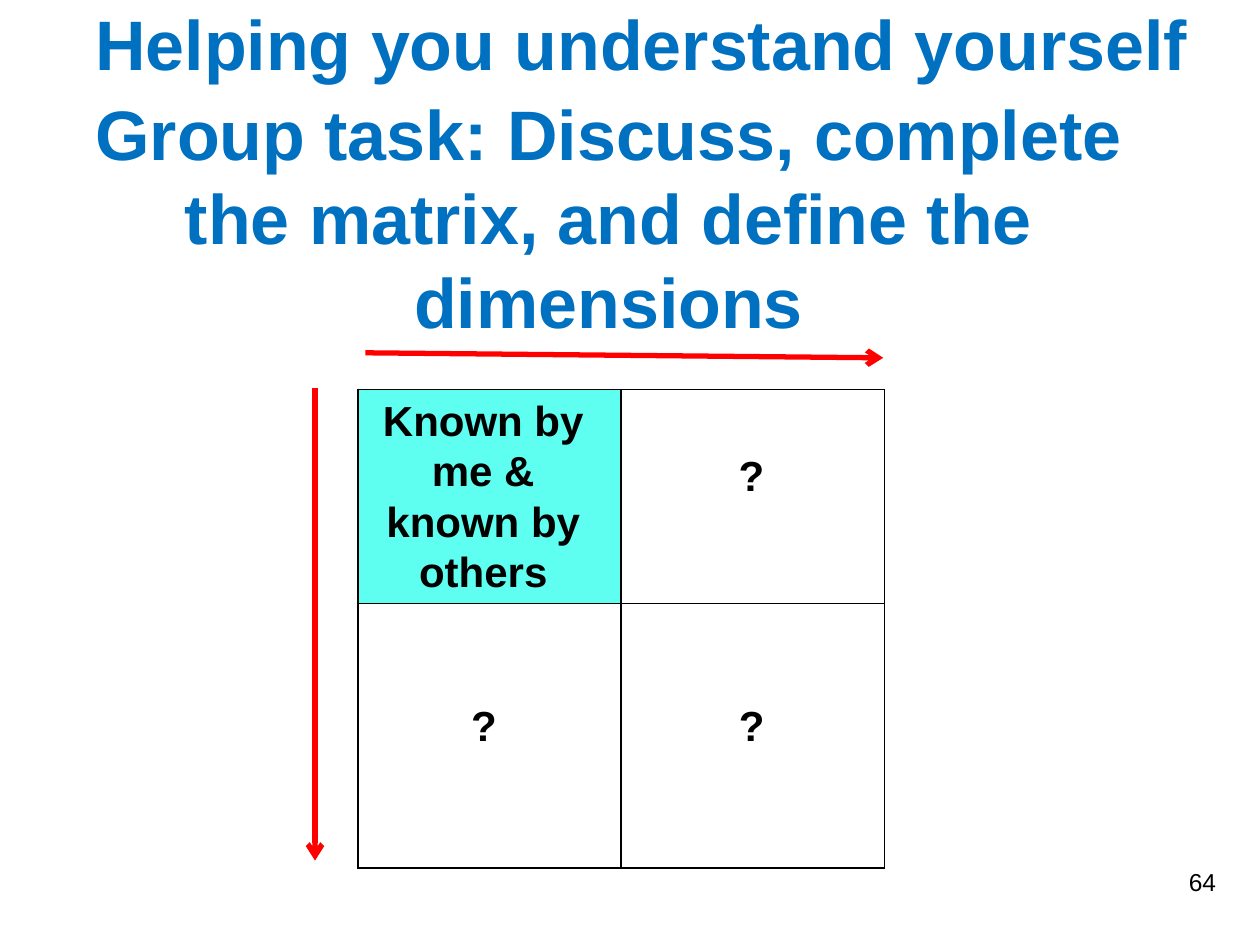
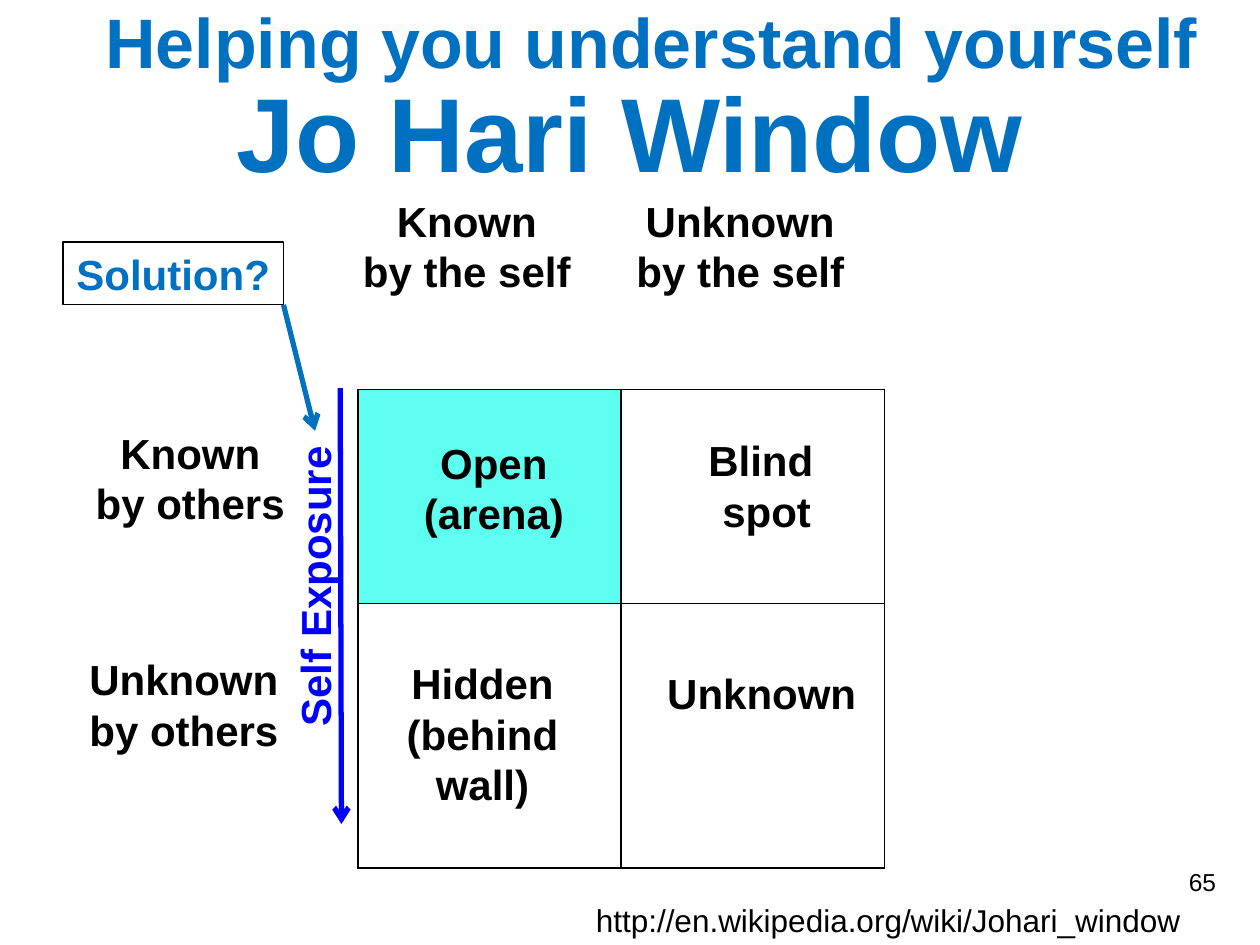
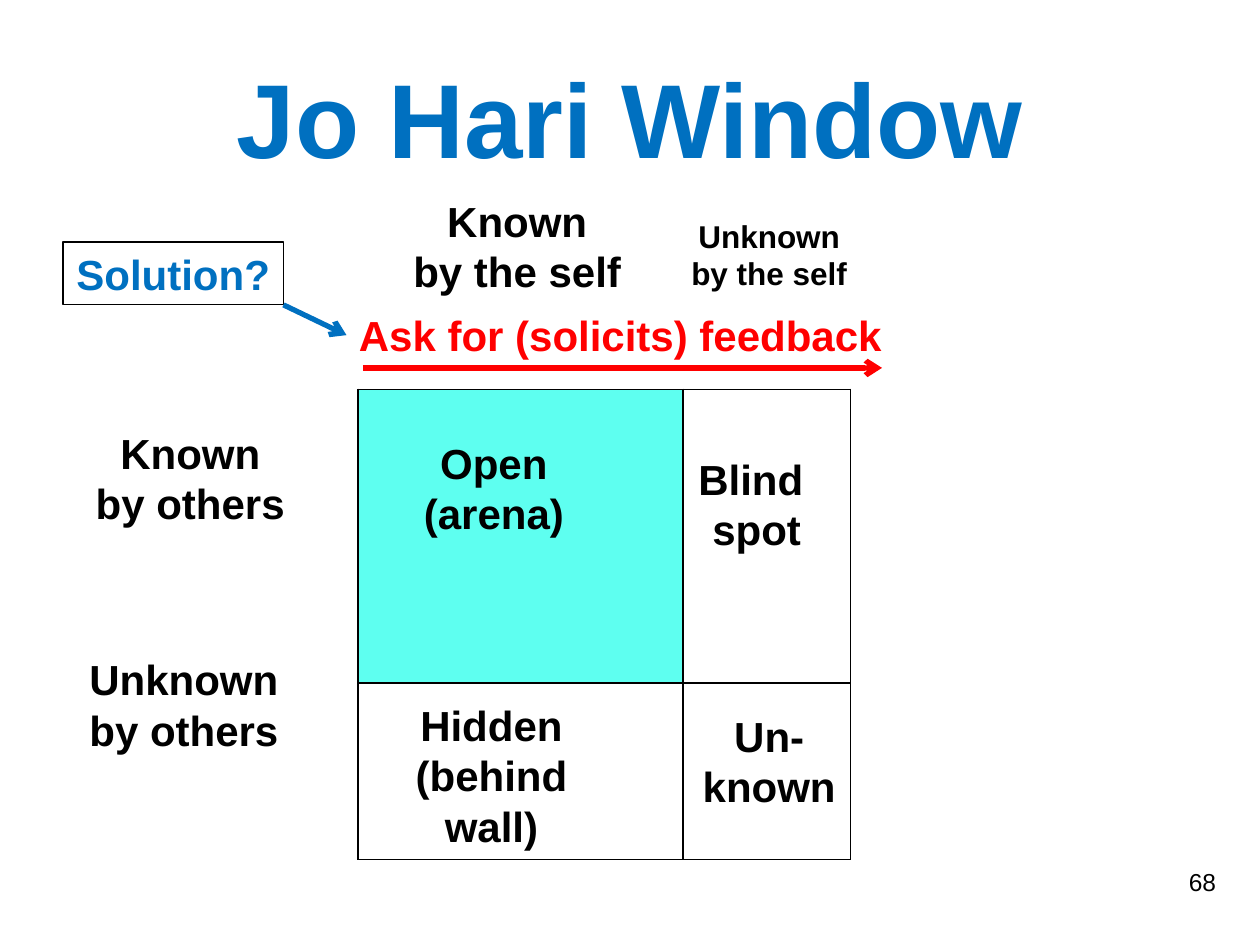
"""Build three slides on the Johari window: the group task, the model and the feedback step."""
from lxml.etree import SubElement
from pptx import Presentation
from pptx.dml.color import RGBColor
from pptx.enum.shapes import MSO_CONNECTOR, MSO_SHAPE
from pptx.enum.text import MSO_ANCHOR as ANCHOR, MSO_AUTO_SIZE, PP_ALIGN as ALIGN
from pptx.oxml.ns import qn
from pptx.util import Inches, Pt

FONT = "Arial"
BLACK, WHITE, BLUE, RED = "000000", "FFFFFF", "0070C0", "FF0000"
EXPOSURE, OPEN_FILL = "0000FF", "5EFFF0"
rgb = RGBColor.from_string


def write(sp, text, size=24, color=BLACK, bold=True, align=ALIGN.CENTER,
          anchor=ANCHOR.TOP, wrap=True):
    """Fill a shape with text, one paragraph per line."""
    tf = sp.text_frame
    tf.text = text
    tf.auto_size = MSO_AUTO_SIZE.NONE
    tf.word_wrap = wrap
    tf.vertical_anchor = anchor
    for p in tf.paragraphs:
        p.alignment = align
        p.font.name, p.font.size, p.font.bold = FONT, Pt(size), bold
        p.font.color.rgb = rgb(color)


def add_arrow(s, x1, y1, x2, y2, color):
    """Draw a line that ends in an open arrowhead."""
    line = s.shapes.add_connector(MSO_CONNECTOR.STRAIGHT, *map(Inches, (x1, y1, x2, y2)))
    line.line.color.rgb = rgb(color)
    line.line.width = Pt(3)
    SubElement(line.line._get_or_add_ln(), qn("a:tailEnd"), type="arrow")
    SubElement(line._element.spPr, qn("a:effectLst"))


prs = Presentation()
prs.slide_width, prs.slide_height = Inches(10), Inches(7.5)

HEADING = "Helping you understand yourself"
MODEL = "Jo Hari Window"
heading_style = {"size": 40, "color": BLUE, "anchor": ANCHOR.MIDDLE}
label = {"wrap": False}
side_labels = [
    ((0.65, 3.34, 1.72, 0.91), "Known\nby others", label),
    ((0.58, 5.14, 1.76, 0.91), "Unknown\nby others", label),
    ((3.17, 3.42, 1.5, 0.91), "Open\n(arena)", {}),
]

slides = [
    {
        "title": (HEADING, (0.59, 0, 9, 0.68), 40),
        "number": "64", "cols": (2.09, 2.09), "rows": (1.7, 2.1),
        "texts": [
            ((2.84, 3.08, 1.99, 1.72), "Known by me & known by others", {}),
            ((5.38, 3.52, 1.17, 0.51), "?", {}),
            ((3.09, 5.5, 1.5, 0.51), "?", {}),
            ((5.09, 5.5, 1.75, 0.51), "?", {}),
            ((0.33, 1.38, 9, 0.68),
             "Group task: Discuss, complete the matrix, and define the dimensions",
             heading_style),
        ],
        "arrows": [(2.5, 3.08, 2.5, 6.83, RED), (2.9, 2.8, 7.01, 2.84, RED)],
    },
    {
        "title": (MODEL, (0.5, 0.41, 9, 1.25), 60),
        "number": "65", "cols": (2.09, 2.09), "rows": (1.7, 2.1),
        "texts": side_labels + [
            ((2.77, 1.5, 1.87, 0.91), "Known\nby the self", label),
            ((4.94, 1.5, 1.87, 0.91), "Unknown\nby the self", label),
            ((5.5, 3.4, 1.17, 0.91), "Blind \nspot", {}),
            ((3.08, 5.17, 1.5, 1.31), "Hidden\n(behind wall)", {}),
            ((5.17, 5.25, 1.75, 0.51), "Unknown", {}),
            ((4.63, 7.1, 4.89, 0.4), "http://en.wikipedia.org/wiki/Johari_window",
             {"size": 18, "bold": False, "align": ALIGN.LEFT, "wrap": False}),
            ((0.67, -0.3, 9, 1.25), HEADING, heading_style),
        ],
        "arrows": [(2.7, 3.08, 2.71, 6.54, EXPOSURE), (2.25, 2.42, 2.5, 3.42, BLUE)],
        "rotated": ((1.28, 4.39, 2.44, 0.51), "Self Exposure"),
    },
    {
        "title": (MODEL, (0.5, 0.3, 9, 1.25), 60),
        "number": "68", "cols": (2.58, 1.33), "rows": (2.33, 1.4),
        "texts": side_labels + [
            ((3.17, 1.5, 1.87, 0.91), "Known\nby the self", label),
            ((5.38, 1.67, 1.45, 0.71), "Unknown\nby the self", {"size": 18, "wrap": False}),
            ((2.75, 2.41, 4.39, 0.51), "Ask for (solicits) feedback",
             {"color": RED, "align": ALIGN.LEFT, "wrap": False}),
            ((2.94, 5.5, 1.92, 1.31), "Hidden\n(behind wall)", {}),
            ((5.44, 5.59, 1.33, 0.91), "Un-known", {}),
            ((5.42, 3.55, 1.17, 0.91), "Blind \nspot", {}),
        ],
        "arrows": [(2.88, 2.92, 7, 2.92, RED), (2.25, 2.42, 2.75, 2.66, BLUE)],
    },
]

for content in slides:
    s = prs.slides.add_slide(prs.slide_layouts[5])
    title, at, size = content["title"]
    sp = s.shapes.title
    sp.left, sp.top, sp.width, sp.height = map(Inches, at)
    write(sp, title, size, BLUE, anchor=ANCHOR.MIDDLE)

    cols, rows = content["cols"], content["rows"]
    matrix = s.shapes.add_table(2, 2, Inches(2.84), Inches(3.09),
                                Inches(sum(cols)), Inches(sum(rows))).table
    matrix.first_row = matrix.horz_banding = False
    for i in range(2):
        matrix.columns[i].width = Inches(cols[i])
        matrix.rows[i].height = Inches(rows[i])
    for cell in matrix.iter_cells():
        tc_pr = cell._tc.get_or_add_tcPr()
        for side in ("lnL", "lnR", "lnT", "lnB"):
            ln = SubElement(tc_pr, qn(f"a:{side}"), w=str(Pt(1)))
            SubElement(SubElement(ln, qn("a:solidFill")), qn("a:srgbClr"), val=BLACK)
        cell.fill.background()
    open_cell = matrix.cell(0, 0)
    open_cell.fill.solid()
    open_cell.fill.fore_color.rgb = rgb(OPEN_FILL)

    for at, text, style in content["texts"]:
        write(s.shapes.add_textbox(*map(Inches, at)), text, **style)
    if "rotated" in content:
        at, text = content["rotated"]
        sp = s.shapes.add_textbox(*map(Inches, at))
        sp.rotation = 270
        write(sp, text, color=EXPOSURE, align=ALIGN.LEFT, wrap=False)
    if title == MODEL:
        sp = s.shapes.add_shape(MSO_SHAPE.RECTANGLE, *map(Inches, (0.5, 1.92, 1.75, 0.5)))
        sp.shadow.inherit = False
        sp.fill.solid()
        sp.fill.fore_color.rgb = rgb(WHITE)
        sp.line.color.rgb = rgb(BLACK)
        sp.line.width = Pt(0.75)
        write(sp, "Solution?", color=BLUE, wrap=False)
    for arrow in content["arrows"]:
        add_arrow(s, *arrow)
    write(s.shapes.add_textbox(*map(Inches, (9.33, 6.83, 0.42, 0.52))),
          content["number"], 14, bold=False, align=ALIGN.RIGHT)

prs.save("out.pptx")
